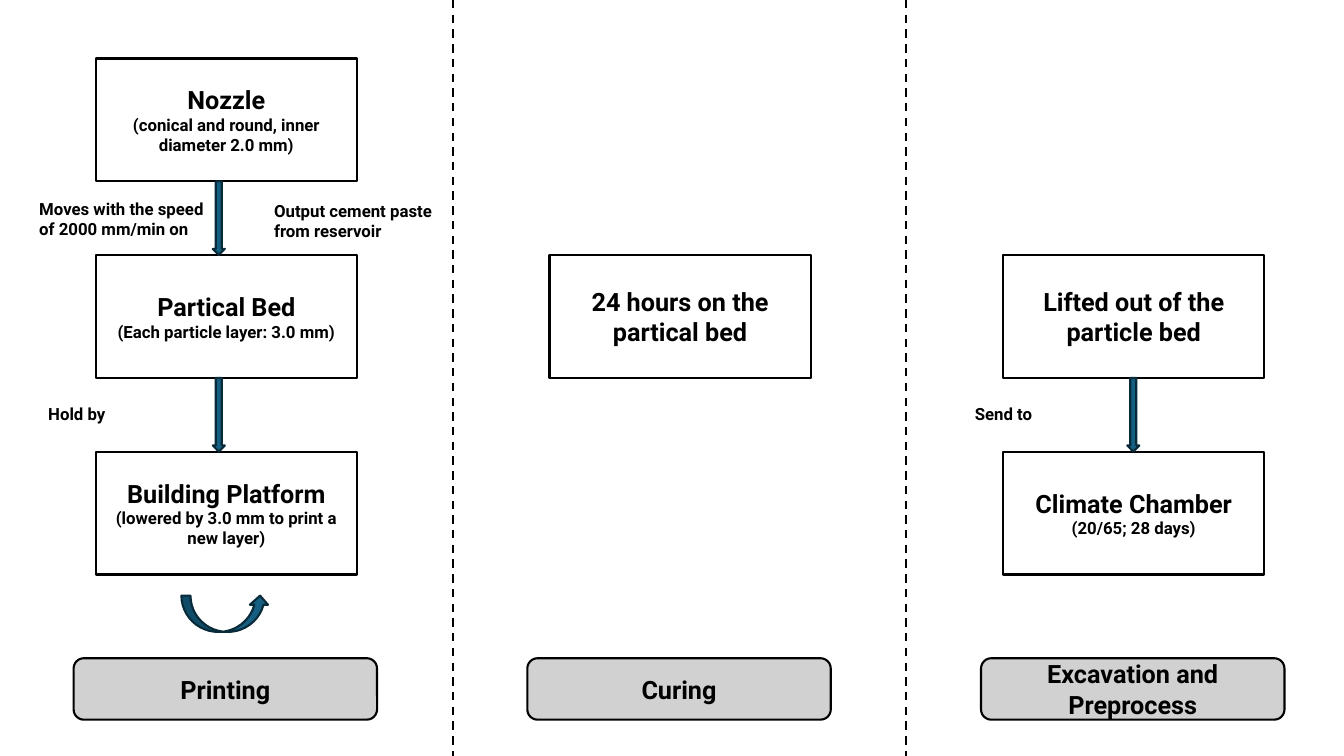
from lxml import etree
from pptx import Presentation
from pptx.dml.color import RGBColor
from pptx.enum.dml import MSO_LINE
from pptx.enum.shapes import MSO_CONNECTOR, MSO_SHAPE as SHAPE
from pptx.enum.text import MSO_ANCHOR as ANCHOR, MSO_AUTO_SIZE as AUTO, PP_ALIGN as ALIGN
from pptx.oxml.ns import qn
from pptx.util import Inches, Pt

# Grid: three phase columns, rows of boxes with a gap for arrows
COL_W, ROW_H, TOP = 4.5, 1.95, 0.58
BOX_X, BOX_W, BOX_H = 0.95, 2.59, 1.22


def rgb(value):
    return RGBColor.from_string(value)


class FlowSlide:
    font = "Roboto"
    ink, paper, grey = "000000", "FFFFFF", "D1D1D1"
    teal, dark_teal = "156082", "092A39"
    title, detail, stroke = 18, 12, 1.5

    def __init__(self, prs):
        self.prs = prs
        self.s = prs.slides.add_slide(prs.slide_layouts[6])

    def place(self, col, row, dx, dy, w, h):
        """Rectangle offset by dx, dy from the corner of a grid cell."""
        return [Inches(v) for v in (col * COL_W + dx, TOP + row * ROW_H + dy, w, h)]

    def shape(self, kind, at, fill, line):
        sp = self.s.shapes.add_shape(kind, *at)
        sp.shadow.inherit = False
        sp.fill.solid()
        sp.fill.fore_color.rgb = rgb(fill)
        sp.line.color.rgb = rgb(line)
        sp.line.width = Pt(self.stroke)
        return sp

    def add_text(self, sp, lines, align, anchor):
        tf = sp.text_frame
        tf.word_wrap = True
        tf.vertical_anchor = anchor
        for i, (text, size) in enumerate(lines):
            p = tf.add_paragraph() if i else tf.paragraphs[0]
            p.alignment = align
            r = p.add_run()
            r.text = text
            r.font.name, r.font.size, r.font.bold = self.font, Pt(size), True
            r.font.color.rgb = rgb(self.ink)

    def divider(self, col):
        x = Inches(col * COL_W - 0.01)
        line = self.s.shapes.add_connector(MSO_CONNECTOR.STRAIGHT, x, 0, x, self.prs.slide_height)
        line.line.color.rgb = rgb(self.ink)
        line.line.width = Pt(self.stroke)
        line.line.dash_style = MSO_LINE.DASH
        etree.SubElement(line._element.spPr, qn("a:effectLst"))

    def phase(self, col, name):
        at = self.place(col, 3, 0.73, 0.1, 3.01, 0.61)
        sp = self.shape(SHAPE.ROUNDED_RECTANGLE, at, self.grey, self.ink)
        self.add_text(sp, [(name, self.title)], ALIGN.CENTER, ANCHOR.MIDDLE)

    def box(self, col, row, heading, detail=None):
        at = self.place(col, row, BOX_X, 0, BOX_W, BOX_H)
        sp = self.shape(SHAPE.RECTANGLE, at, self.paper, self.ink)
        lines = [(heading, self.title)] + ([(detail, self.detail)] if detail else [])
        self.add_text(sp, lines, ALIGN.CENTER, ANCHOR.MIDDLE)

    def arrow(self, col, row, dx):
        at = self.place(col, row, dx, BOX_H, 0.12, ROW_H - BOX_H)
        self.shape(SHAPE.DOWN_ARROW, at, self.teal, self.dark_teal)

    def loop(self, col, row):
        at = self.place(col, row, 1.8, 1.43, 0.87, 0.36)
        self.shape(SHAPE.CURVED_UP_ARROW, at, self.teal, self.dark_teal)

    def note(self, col, row, dx, dy, w, h, text):
        sp = self.s.shapes.add_textbox(*self.place(col, row, dx, dy, w, h))
        self.add_text(sp, [(text, self.detail)], ALIGN.LEFT, ANCHOR.TOP)
        sp.text_frame.auto_size = AUTO.SHAPE_TO_FIT_TEXT


def main():
    prs = Presentation()
    prs.slide_width, prs.slide_height = Inches(13.33), Inches(7.5)
    flow = FlowSlide(prs)

    # Phases and the dividers between them
    for col in (1, 2):
        flow.divider(col)
    for col, name in enumerate(("Printing", "Curing", "Excavation and Preprocess")):
        flow.phase(col, name)

    # Process steps
    for step in (
        (0, 0, "Nozzle", "(conical and round, inner diameter 2.0 mm)"),
        (0, 1, "Partical Bed", "(Each particle layer: 3.0 mm)"),
        (0, 2, "Building Platform", "(lowered by 3.0 mm to print a new layer)"),
        (1, 1, "24 hours on the partical bed"),
        (2, 1, "Lifted out of the particle bed"),
        (2, 2, "Climate Chamber", "(20/65; 28 days)"),
    ):
        flow.box(*step)

    # Arrows between steps
    for col, row, dx in ((0, 0, 2.11), (0, 1, 2.11), (2, 1, 2.18)):
        flow.arrow(col, row, dx)
    flow.loop(0, 2)

    # Notes beside the arrows
    flow.note(0, 0, 0.29, 1.34, 2.01, 0.5, "Moves with the speed of 2000 mm/min on")
    flow.note(0, 0, 2.62, 1.36, 1.82, 0.5, "Output cement paste from reservoir")
    flow.note(0, 1, 0.38, 1.43, 1.3, 0.3, "Hold by")
    flow.note(2, 1, 0.57, 1.43, 1.3, 0.3, "Send to")

    prs.save("out.pptx")


if __name__ == "__main__":
    main()
